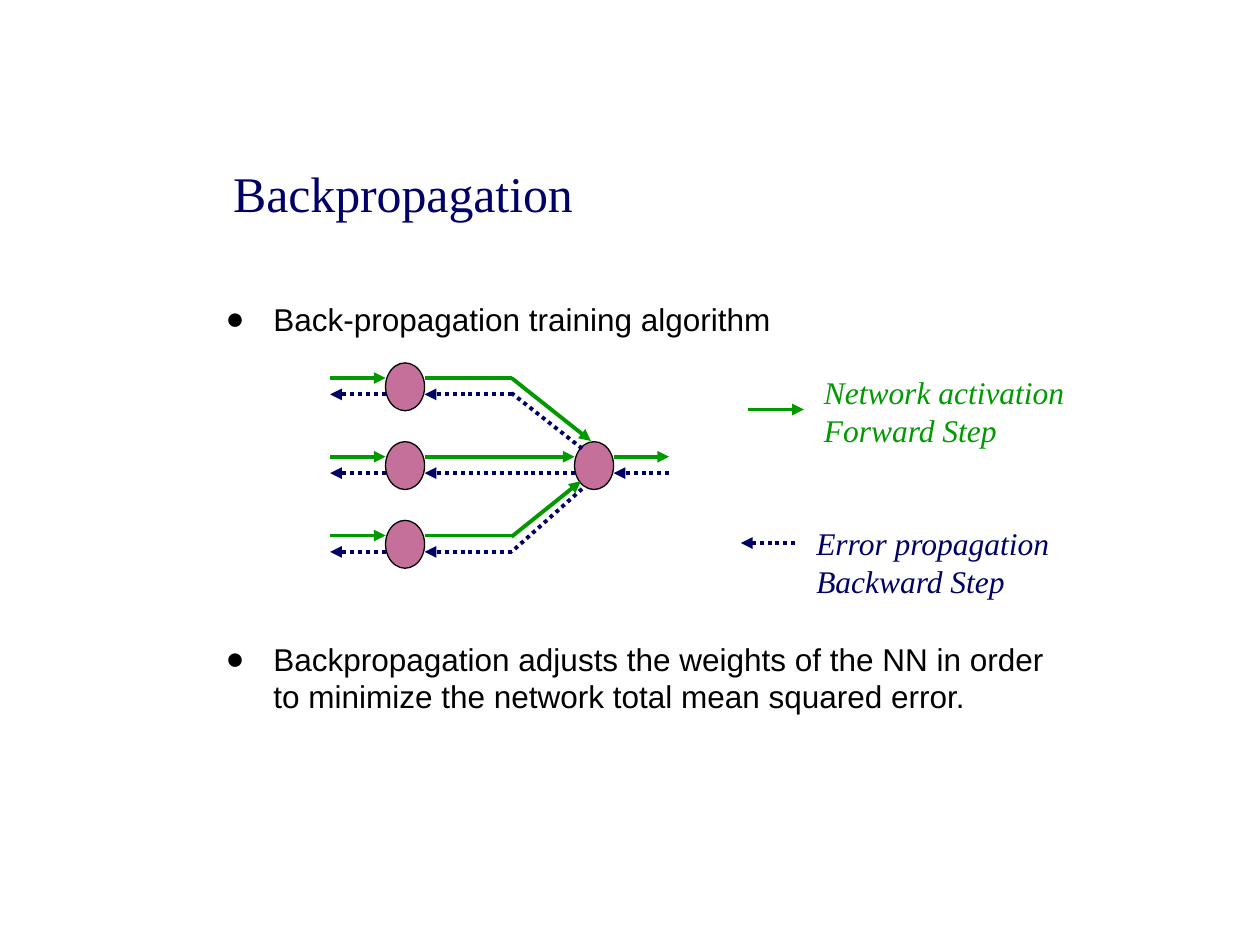
from lxml import etree
from pptx import Presentation
from pptx.dml.color import RGBColor
from pptx.enum.dml import MSO_LINE
from pptx.enum.shapes import MSO_CONNECTOR, MSO_SHAPE
from pptx.enum.text import MSO_ANCHOR, MSO_AUTO_SIZE, PP_ALIGN
from pptx.oxml.ns import qn
from pptx.util import Inches, Pt

STRAIGHT = MSO_CONNECTOR.STRAIGHT
OVAL = MSO_SHAPE.OVAL
DOTTED = MSO_LINE.ROUND_DOT
MIDDLE, TOP = MSO_ANCHOR.MIDDLE, MSO_ANCHOR.TOP
NO_AUTOFIT = MSO_AUTO_SIZE.NONE
LEFT = PP_ALIGN.LEFT

NAVY = RGBColor(0x00, 0x00, 0x66)
GREEN = RGBColor(0x00, 0x99, 0x00)
MAUVE = RGBColor(0xC4, 0x70, 0x9A)
BLACK = RGBColor(0x00, 0x00, 0x00)
SERIF, SANS = "Times New Roman", "Arial"

ROW_PITCH = 1.25 / 2
NODE_WIDTH, NODE_HEIGHT = 0.31, 0.38
INPUT_X, NODE_X, NODE_RIGHT, BEND_X = 0, 0.44, 0.75, 1.44
OUTPUT_X, OUTPUT_RIGHT, END_X = 1.94, 2.25, 2.69
FORWARD_Y, BACKWARD_Y = 0.12, 0.25


def place(shape, left, top, width, height):
    shape.left, shape.top = Inches(left), Inches(top)
    shape.width, shape.height = Inches(width), Inches(height)


def format_font(font, name, size, color, italic=False):
    font.name, font.size, font.italic = name, Pt(size), italic
    font.color.rgb = color


def add_signal(page, start, end, color, arrow=True):
    line = page.shapes.add_connector(
        STRAIGHT, *(Inches(value) for value in (*start, *end)))
    line.line.color.rgb = color
    line.line.width = Pt(2.25)
    if color == NAVY:
        line.line.dash_style = DOTTED
    properties = line._element.spPr
    if arrow:
        outline = properties.find(qn("a:ln"))
        etree.SubElement(outline, qn("a:tailEnd"), type="triangle")
    etree.SubElement(properties, qn("a:effectLst"))


def add_node(page, left, top):
    node = page.shapes.add_shape(OVAL, Inches(left), Inches(top),
                                 Inches(NODE_WIDTH), Inches(NODE_HEIGHT))
    node.shadow.inherit = False
    node.fill.solid()
    node.fill.fore_color.rgb = MAUVE
    node.line.color.rgb = BLACK
    node.line.width = Pt(0.75)


def fill_title(title, left, top, width, height):
    place(title, left, top, width, height)
    frame = title.text_frame
    frame.text = "Backpropagation"
    frame.vertical_anchor = MIDDLE
    frame.auto_size = NO_AUTOFIT
    para = frame.paragraphs[0]
    para.alignment = LEFT
    format_font(para.runs[0].font, SERIF, 28.5, NAVY)


def fill_bullets(body, left, top, width, height):
    place(body, left, top, width, height)
    frame = body.text_frame
    frame.text = ("Back-propagation training algorithm\n"
                  "Backpropagation adjusts the weights of the NN in order "
                  "to minimize the network total mean squared error.")
    frame.vertical_anchor = TOP
    frame.auto_size = NO_AUTOFIT
    frame.margin_top = Inches(0.07)
    for para, gap in zip(frame.paragraphs, (0, 172.5)):
        properties = para._p.get_or_add_pPr()
        properties.set("marL", str(Inches(0.38)))
        properties.set("indent", str(-Inches(0.38)))
        bullet_color = etree.SubElement(properties, qn("a:buClr"))
        etree.SubElement(bullet_color, qn("a:srgbClr"), val=str(BLACK))
        etree.SubElement(properties, qn("a:buFont"), typeface=SANS)
        etree.SubElement(properties, qn("a:buChar"), char="●")
        para.space_before = Pt(gap)
        format_font(para.runs[0].font, SANS, 18, BLACK)


def draw_network(page, left, top):
    def signal(start, end, color, arrow=True):
        add_signal(page, (left + start[0], top + start[1]),
                   (left + end[0], top + end[1]), color, arrow)

    for row in range(3):
        row_y = row * ROW_PITCH
        forward, backward = row_y + FORWARD_Y, row_y + BACKWARD_Y
        add_node(page, left + NODE_X, top + row_y)
        signal((INPUT_X, forward), (NODE_X, forward), GREEN)
        signal((NODE_X, backward), (INPUT_X, backward), NAVY)
        middle = row == 1
        reach = OUTPUT_X if middle else BEND_X
        signal((NODE_RIGHT, forward), (reach, forward), GREEN, arrow=middle)
        signal((reach, backward), (NODE_RIGHT, backward), NAVY)

    add_node(page, left + OUTPUT_X, top + ROW_PITCH)
    forward, backward = ROW_PITCH + FORWARD_Y, ROW_PITCH + BACKWARD_Y
    signal((OUTPUT_RIGHT, forward), (END_X, forward), GREEN)
    signal((END_X, backward), (OUTPUT_RIGHT, backward), NAVY)

    signal((BEND_X, 0.12), (2.07, 0.62), GREEN)
    signal((BEND_X, 1.38), (1.99, 0.94), GREEN)
    signal((2, 0.68), (BEND_X, 0.24), NAVY, arrow=False)
    signal((2, 1), (BEND_X, 1.5), NAVY, arrow=False)


def add_legend(page, left, top, width, height, text, color, start, end):
    add_signal(page, start, end, color)
    box = page.shapes.add_textbox(Inches(left), Inches(top),
                                  Inches(width), Inches(height))
    frame = box.text_frame
    frame.word_wrap = True
    frame.text = text
    for para in frame.paragraphs:
        format_font(para.runs[0].font, SERIF, 18, color, italic=True)


def main():
    deck = Presentation()
    deck.slide_width, deck.slide_height = Inches(10), Inches(7.5)
    page = deck.slides.add_slide(deck.slide_layouts[1])
    fill_title(page.shapes.title, 1.75, 1.06, 6.62, 0.94)
    fill_bullets(page.placeholders[1], 1.69, 2.31, 6.81, 3.5)
    draw_network(page, 2.62, 2.88)
    add_legend(page, 6.44, 2.91, 2.31, 0.71,
               "Network activation\nForward Step", GREEN,
               (5.94, 3.25), (6.38, 3.25))
    add_legend(page, 6.38, 4.11, 2.12, 0.71,
               "Error propagation\nBackward Step", NAVY,
               (6.31, 4.31), (5.88, 4.31))
    deck.save("out.pptx")


if __name__ == "__main__":
    main()
